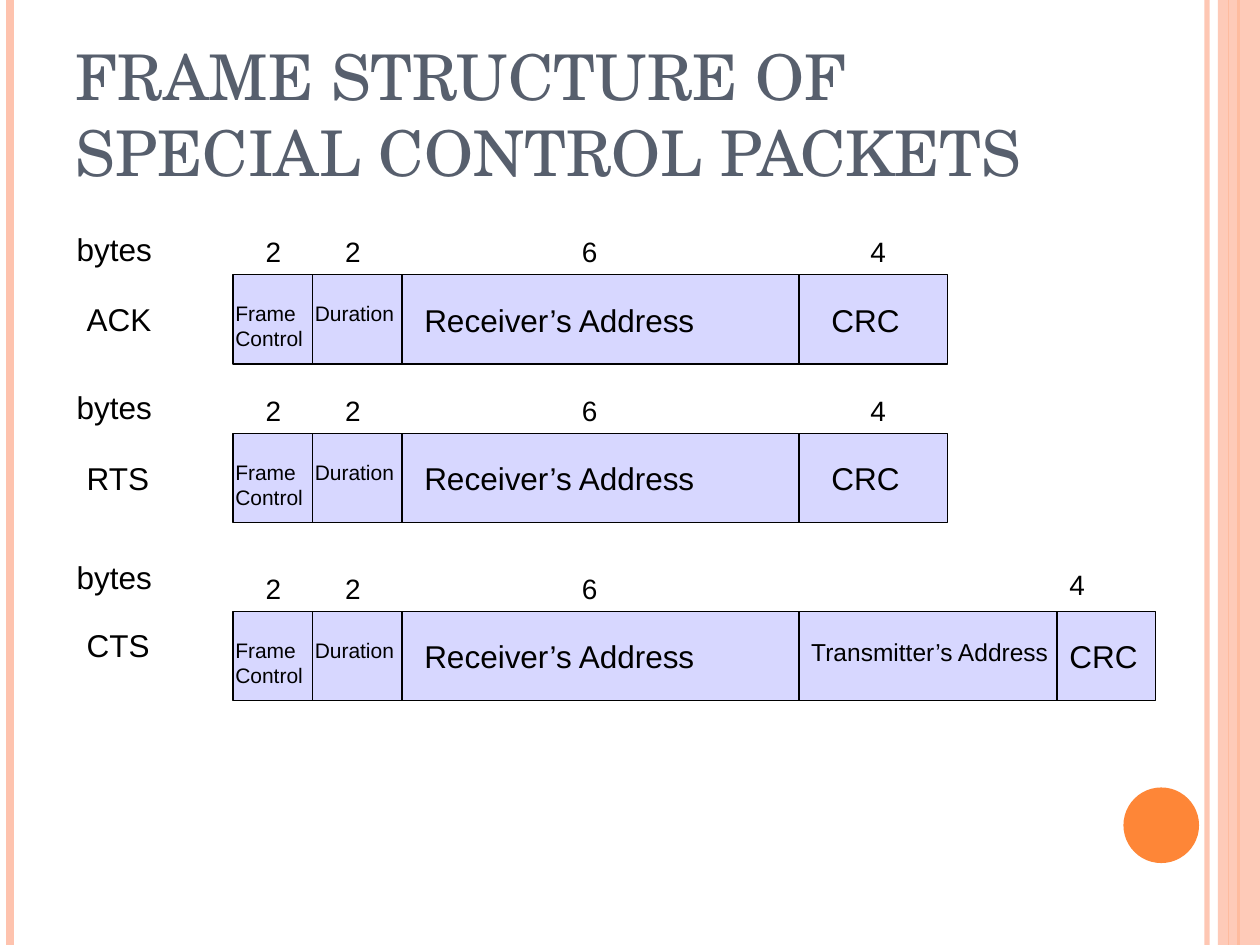
from lxml import etree
from pptx import Presentation
from pptx.dml.color import RGBColor
from pptx.enum.shapes import MSO_CONNECTOR, MSO_SHAPE
from pptx.enum.text import MSO_ANCHOR, MSO_AUTO_SIZE, PP_ALIGN
from pptx.oxml.ns import qn
from pptx.util import Pt

LINE = MSO_CONNECTOR.STRAIGHT
RECT, OVAL = MSO_SHAPE.RECTANGLE, MSO_SHAPE.OVAL
LEFT, BASE = PP_ALIGN.LEFT, MSO_ANCHOR.BOTTOM
FIT, FIXED = MSO_AUTO_SIZE.SHAPE_TO_FIT_TEXT, MSO_AUTO_SIZE.NONE

THEME = {
    "ink": "000000", "head": "575F6D", "cell": "D7D7FF",
    "peach": "FEC3AE", "orange": "FE8637",
    "sans": "Arial", "serif": "TeX Gyre Schola",
    "title": 36, "large": 18, "count": 16, "mid": 14, "small": 12,
}
WIDE, HIGH = 720, 540
TITLE = "FRAME STRUCTURE OF SPECIAL CONTROL PACKETS"

# Each field: text, size, text left, text width, bytes, bytes left, right edge
HEAD = [
    ("Frame Control", "small", 127.4, 62.6, "2", 144.7, 178.6),
    ("Duration", "small", 172.8, 67.7, "2", 190.1, 229.7),
    ("Receiver’s Address", "large", 235.4, 204.5, "6", 325.4, 456.5),
]
SHORT = HEAD + [("CRC", "large", 468, 62.6, "4", 490.3, 541.5)]
LONG = HEAD + [
    ("Transmitter’s Address", "mid", 456.5, 204.5, None, 0, 604),
    ("CRC", "large", 604, 62.6, "4", 604, 660.2),
]
# Each frame: name, top, fields, name offset, unit offset, last count offset
FRAMES = [
    ("ACK", 157, SHORT, 11, -29, -26.6),
    ("RTS", 247.7, SHORT, 11, -29.3, -26.6),
    ("CTS", 349.4, LONG, 5, -34, -28.4),
]
START, TALL, DROP, RISE = 133.2, 51, 11.2, -26.6
STRIPES = [
    (689.8, 3, "peach", 93), (5.8, 4.5, "peach", 100),
    (707.8, 1.5, "orange", 100), (702, 0.75, "orange", 100),
]


def tint(name):
    return RGBColor.from_string(THEME[name])


def fade(fill, part):
    if part < 100:
        node = fill._xPr.find(qn("a:solidFill"))[0]
        etree.SubElement(node, qn("a:alpha")).set("val", str(part * 1000))


def rule(slide, x, top, end, width=0.75, color="ink", part=100):
    line = slide.shapes.add_connector(LINE, Pt(x), Pt(top), Pt(x), Pt(end))
    line.line.width = Pt(width)
    line.line.color.rgb = tint(color)
    fade(line.line.fill, part)
    etree.SubElement(line._element.spPr, qn("a:effectLst"))


def block(slide, kind, x, y, w, h, color, edge=None, part=100):
    shape = slide.shapes.add_shape(kind, Pt(x), Pt(y), Pt(w), Pt(h))
    shape.shadow.inherit = False
    shape.fill.solid()
    shape.fill.fore_color.rgb = tint(color)
    fade(shape.fill, part)
    if edge:
        shape.line.color.rgb = tint(edge)
        shape.line.width = Pt(0.75)
    else:
        shape.line.fill.background()


def write(frame, text, size, face="sans", color="ink"):
    para = frame.paragraphs[0]
    para.alignment = LEFT
    run = para.add_run()
    run.text = text
    run.font.name = THEME[face]
    run.font.size = Pt(THEME[size])
    run.font.color.rgb = tint(color)


def label(slide, text, size, x, y, w, wrap=True):
    rows = 2 if text == "Frame Control" else 1
    h = THEME[size] * 1.2 * rows + 7.2
    frame = slide.shapes.add_textbox(Pt(x), Pt(y), Pt(w), Pt(h)).text_frame
    frame.word_wrap = wrap
    frame.auto_size = FIT
    write(frame, text, size)


def decor(slide):
    for x, width, color, part in STRIPES:
        rule(slide, x, 0, HIGH, width, color, part)
    block(slide, RECT, 696, 0, 24, HIGH, "peach", part=87)
    block(slide, OVAL, 642, 450, 43.2, 43.2, "orange")


def title(slide):
    head = slide.shapes.title
    head.left, head.top = Pt(36), Pt(21.6)
    head.width, head.height = Pt(588), Pt(90)
    frame = head.text_frame
    frame.word_wrap = True
    frame.auto_size = FIXED
    frame.vertical_anchor = BASE
    write(frame, TITLE, "title", "serif", "head")


def packet(slide, name, top, fields, down, up, last):
    block(slide, RECT, START, top, fields[-1][-1] - START, TALL, "cell", "ink")
    for field in fields:
        text, size, x, w, count, spot, edge = field
        end = field is fields[-1]
        if not end:
            rule(slide, edge, top, top + TALL)
        label(slide, text, size, x, top + DROP, w)
        if count:
            rise = last if end else RISE
            label(slide, count, "count", spot, top + rise, 23, False)
    label(slide, name, "large", 42.5, top + down, 67.7)
    label(slide, "bytes", "large", 36.7, top + up, 67.7)


def main():
    deck = Presentation()
    deck.slide_width, deck.slide_height = Pt(WIDE), Pt(HIGH)
    slide = deck.slides.add_slide(deck.slide_layouts[5])
    decor(slide)
    title(slide)
    for frame in FRAMES:
        packet(slide, *frame)
    deck.save("out.pptx")


if __name__ == "__main__":
    main()
